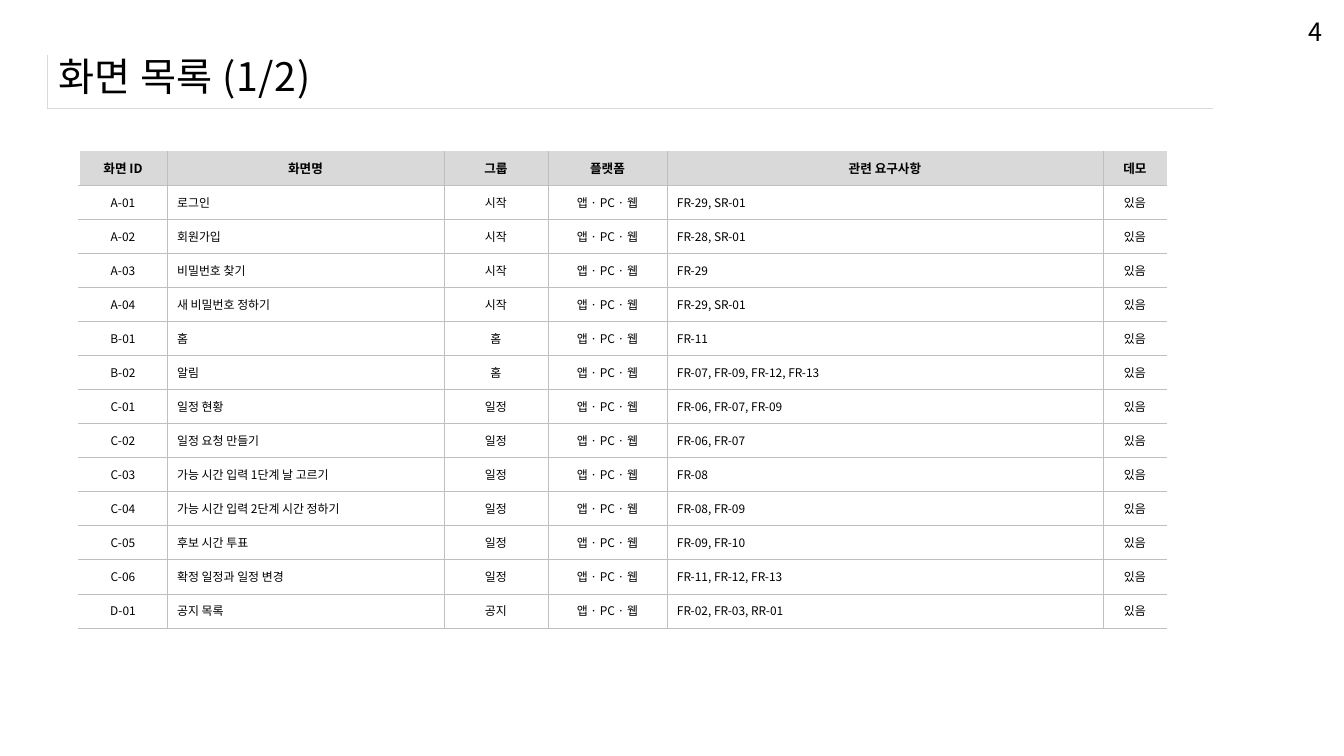
from dataclasses import dataclass

from lxml import etree
from pptx import Presentation
from pptx import util as u
from pptx.dml.color import RGBColor
from pptx.enum import text
from pptx.oxml import ns

EMU_PER_PX = 914400 / 100.8
NO_STYLE = "{2D5ABB26-0587-4C30-8999-92F81FD0307C}"


@dataclass(frozen=True)
class Theme:
    """Colours, font and type sizes of the slide."""
    font: str = "Noto Sans CJK KR"
    ink: str = "000000"
    paper: str = "FFFFFF"
    rule: str = "D9D9D9"
    header: str = "D9D9D9"
    grid: str = "BFBFBF"
    title_size: float = 28
    title_spacing: float = 0.4
    number_size: float = 18
    header_size: float = 9
    body_size: float = 8.5
    hairline: float = 0.25
    edge: float = 1


THEME = Theme()
CENTER, LEFT = text.PP_ALIGN.CENTER, text.PP_ALIGN.LEFT
COLUMNS = [
    ("화면 ID", 88, CENTER),
    ("화면명", 277, LEFT),
    ("그룹", 104, CENTER),
    ("플랫폼", 119, CENTER),
    ("관련 요구사항", 436, LEFT),
    ("데모", 64, CENTER),
]
GROUPS = {"A": "시작", "B": "홈", "C": "일정", "D": "공지"}
PLATFORMS = "앱 · PC · 웹"
DEMO = "있음"
SCREENS = [
    ("A-01", "로그인", "FR-29, SR-01"),
    ("A-02", "회원가입", "FR-28, SR-01"),
    ("A-03", "비밀번호 찾기", "FR-29"),
    ("A-04", "새 비밀번호 정하기", "FR-29, SR-01"),
    ("B-01", "홈", "FR-11"),
    ("B-02", "알림", "FR-07, FR-09, FR-12, FR-13"),
    ("C-01", "일정 현황", "FR-06, FR-07, FR-09"),
    ("C-02", "일정 요청 만들기", "FR-06, FR-07"),
    ("C-03", "가능 시간 입력 1단계 날 고르기", "FR-08"),
    ("C-04", "가능 시간 입력 2단계 시간 정하기", "FR-08, FR-09"),
    ("C-05", "후보 시간 투표", "FR-09, FR-10"),
    ("C-06", "확정 일정과 일정 변경", "FR-11, FR-12, FR-13"),
    ("D-01", "공지 목록", "FR-02, FR-03, RR-01"),
]


def px(length):
    """Turn a length in px into EMU."""
    return u.Emu(round(length * EMU_PER_PX))


def write(frame, wording, size, align=LEFT, bold=False, spacing=0):
    """Put one formatted run into the first paragraph of a text frame."""
    paragraph = frame.paragraphs[0]
    paragraph.alignment = align
    run = paragraph.add_run()
    run.text = wording
    font = run.font
    font.name, font.size, font.bold = THEME.font, u.Pt(size), bold
    font.color.rgb = RGBColor.from_string(THEME.ink)
    properties = run._r.get_or_add_rPr()
    if spacing:
        properties.set("spc", str(round(spacing * 100)))
    etree.SubElement(properties, ns.qn("a:ea")).set("typeface", THEME.font)


def add_plain_table(slide, row_count, widths, left, top, width, height):
    """Add an unstyled table with rows of equal height."""
    table = slide.shapes.add_table(
        row_count, len(widths), *map(px, (left, top, width, height))).table
    table.first_row = table.horz_banding = False
    table._tbl.tblPr.find(ns.qn("a:tableStyleId")).text = NO_STYLE
    for column, column_width in zip(table.columns, widths):
        column.width = px(column_width)
    for row in table.rows:
        row.height = px(height / row_count)
    return table


def set_borders(cell, **sides):
    """Give a cell its borders as (colour, width) by side L, R, T, B."""
    properties = cell._tc.get_or_add_tcPr()
    for side, (colour, width) in sides.items():
        line = etree.SubElement(properties, ns.qn(f"a:ln{side}"))
        line.set("w", str(u.Pt(width)))
        fill = etree.SubElement(line, ns.qn("a:solidFill"))
        etree.SubElement(fill, ns.qn("a:srgbClr")).set("val", colour)


def place_heading(slide, wording, left, top, width, height):
    """Place the title over a one-cell frame ruled at left and bottom."""
    frame_table = add_plain_table(slide, 1, [width], left, top, width, height)
    rule = (THEME.rule, THEME.hairline)
    set_borders(frame_table.cell(0, 0), L=rule, B=rule)
    title = slide.shapes.title
    title.left, title.top = px(left + 3), px(top - 13)
    title.width, title.height = px(width + 94), px(height + 14)
    frame = title.text_frame
    frame.auto_size = text.MSO_AUTO_SIZE.NONE
    frame.vertical_anchor = text.MSO_ANCHOR.MIDDLE
    frame.margin_left = px(8)
    write(frame, wording, THEME.title_size, spacing=THEME.title_spacing)


def place_page_number(slide, number, left, top, width, height):
    """Place the page number in the slide's corner."""
    box = slide.shapes.add_textbox(*map(px, (left, top, width, height)))
    frame = box.text_frame
    frame.word_wrap = False
    frame.auto_size = text.MSO_AUTO_SIZE.SHAPE_TO_FIT_TEXT
    frame.margin_left, frame.margin_right = px(11), px(2)
    frame.margin_top, frame.margin_bottom = px(4), 0
    write(frame, number, THEME.number_size)


def place_screen_list(slide, left, top, width, height):
    """Place the table of screens with open left, top and right edges."""
    rows = [[heading for heading, _, _ in COLUMNS]]
    rows += [[code, name, GROUPS[code[0]], PLATFORMS, needs, DEMO]
             for code, name, needs in SCREENS]
    widths = [column_width for _, column_width, _ in COLUMNS]
    table = add_plain_table(slide, len(rows), widths, left, top, width, height)
    grid, edge = (THEME.grid, THEME.hairline), (THEME.paper, THEME.edge)
    for row_index, row in enumerate(rows):
        is_header = row_index == 0
        size = THEME.header_size if is_header else THEME.body_size
        for column_index, wording in enumerate(row):
            cell = table.cell(row_index, column_index)
            sides = {"L": grid if column_index else edge}
            if column_index < len(COLUMNS) - 2:
                sides["R"] = grid
            if not is_header:
                sides["T"] = grid
            set_borders(cell, **sides, B=grid)
            if is_header:
                cell.fill.solid()
                cell.fill.fore_color.rgb = RGBColor.from_string(THEME.header)
            cell.vertical_anchor = text.MSO_ANCHOR.MIDDLE
            align = CENTER if is_header else COLUMNS[column_index][2]
            write(cell.text_frame, wording, size, align, is_header)


def main():
    """Build the slide and save it."""
    deck = Presentation()
    deck.slide_width, deck.slide_height = px(1344), px(756)
    slide = deck.slides.add_slide(deck.slide_layouts[5])
    place_heading(slide, "화면 목록 (1/2)", 47, 55, 1166, 53)
    place_page_number(slide, "4", 1298, 12, 27, 25)
    place_screen_list(slide, 79, 151, 1088, 477)
    deck.save("out.pptx")


if __name__ == "__main__":
    main()
